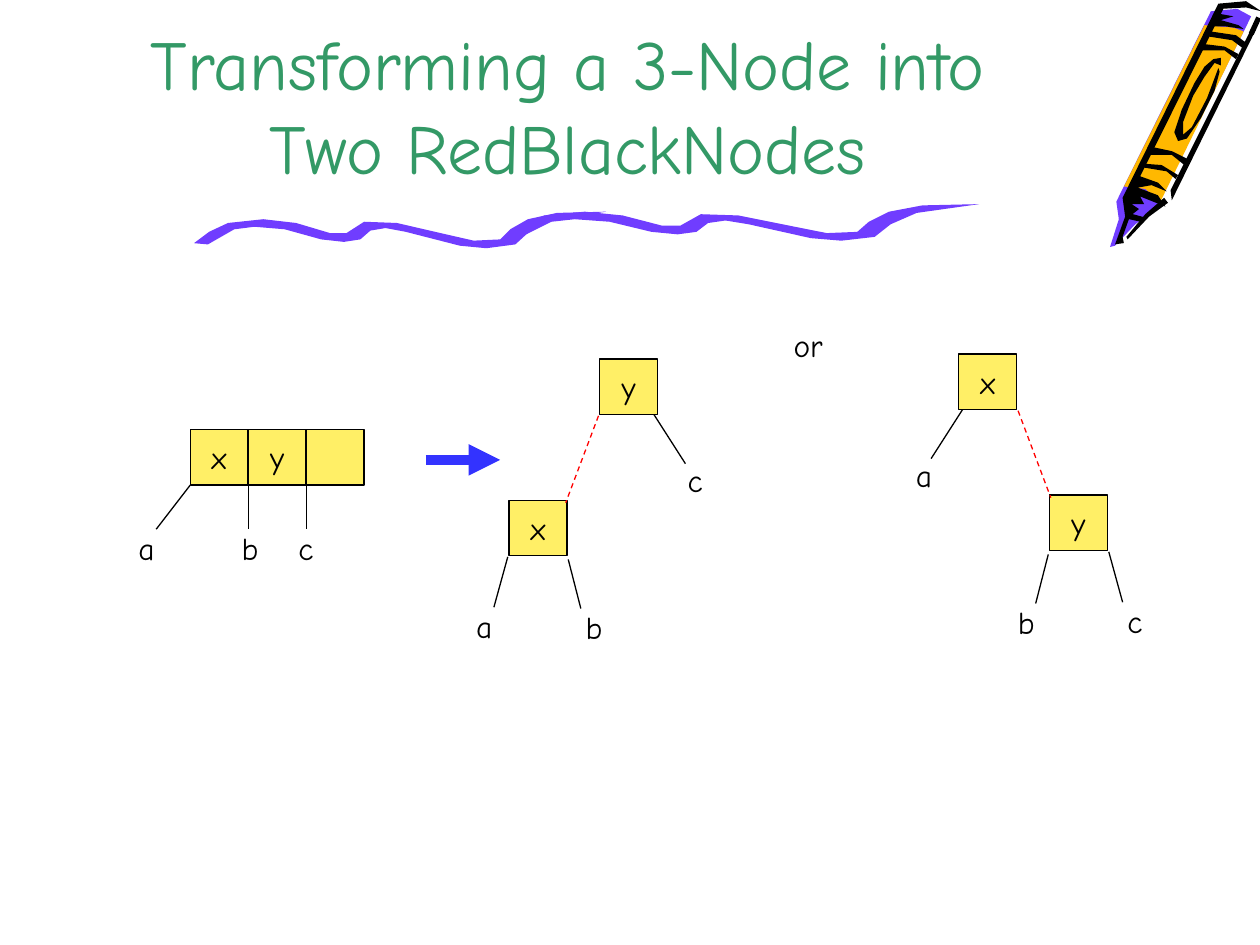
import dataclasses

import pptx
import pptx.dml.color
import pptx.enum.dml
import pptx.enum.shapes
import pptx.enum.text
import pptx.oxml.xmlchemy
import pptx.util
from pptx.util import Inches


@dataclasses.dataclass(frozen=True)
class Theme:
    """Colours, font and type sizes of the slide."""

    font: str = "Comic Neue"
    title_size: int = 40
    label_size: int = 18
    thin: float = 0.75
    title: str = "339966"
    ink: str = "000000"
    node: str = "FFEF66"
    red: str = "FF0000"
    arrow: str = "3333FF"
    purple: str = "703DFF"
    wax: str = "FFB800"


THEME = Theme()
NODE_WIDTH, NODE_HEIGHT = 0.46, 0.44
LABEL_WIDTH, LABEL_HEIGHT = 0.3, 0.4
HUNDREDTH = Inches(0.01)

CRAYON_PARTS = [
    (THEME.purple, [(113, 13), (37, 166), (21, 178), (5, 195), (1, 196), (8, 174), (6, 160),
                    (81, 9), (102, 7)]),
    (THEME.wax, [(41, 160), (29, 150), (12, 148), (76, 20), (99, 22), (107, 25)]),
    (THEME.ink, [(47, 161), (32, 172), (15, 190), (14, 188), (29, 170), (44, 157)]),
    (THEME.ink, [(107, 23), (93, 21), (81, 21), (88, 11), (99, 13), (89, 16), (103, 20)]),
    (THEME.ink, [(88, 57), (84, 72), (73, 94), (62, 110), (55, 112), (52, 105), (58, 87),
                 (68, 66), (76, 53), (83, 47), (89, 46), (89, 52), (84, 50), (76, 61),
                 (67, 76), (59, 97), (59, 107), (66, 101), (78, 78), (87, 54)]),
    (THEME.ink, [(117, 23), (50, 159), (49, 151), (113, 23)]),
    (THEME.ink, [(45, 164), (39, 155), (23, 149), (34, 147), (46, 152), (39, 145), (25, 140),
                 (91, 7), (109, 6), (121, 9), (109, 1), (87, 3), (11, 157), (13, 172), (5, 194),
                 (12, 193), (11, 188), (16, 174), (25, 176), (30, 173), (19, 170), (24, 166),
                 (18, 162), (28, 162), (25, 156)]),
    (THEME.ink, [(53, 142), (46, 136), (28, 133), (29, 130), (42, 131), (55, 139)]),
    (THEME.ink, [(60, 131), (50, 123), (33, 123), (36, 117), (50, 120), (62, 126)]),
    (THEME.ink, [(101, 47), (92, 40), (73, 40), (76, 35), (92, 37), (103, 43)]),
    (THEME.ink, [(106, 38), (98, 32), (79, 29), (81, 25), (101, 28), (109, 34)]),
]
WAVE = [(11, 26), (32, 14), (48, 12), (72, 14), (101, 22), (119, 24), (132, 22), (140, 15),
        (152, 13), (168, 16), (211, 27), (232, 29), (255, 26), (266, 16), (284, 7), (327, 0),
        (288, 1), (265, 6), (251, 14), (243, 22), (222, 23), (200, 18), (161, 9), (135, 8),
        (121, 17), (108, 17), (81, 9), (55, 6), (27, 9), (12, 16), (0, 25)]


def rgb(code):
    """Return the colour for a hex code."""
    return pptx.dml.color.RGBColor.from_string(code)


def write(paragraph, text, size=THEME.label_size, color=THEME.ink):
    """Add one styled run to a paragraph."""
    run = paragraph.add_run()
    run.text = text
    run.font.name = THEME.font
    run.font.size = pptx.util.Pt(size)
    run.font.color.rgb = rgb(color)


def add_outline(slide, left, top, points, color, stretch=1.0):
    """Draw a filled outline whose points are hundredths of an inch from its corner."""
    builder = slide.shapes.build_freeform(*points[0], scale=(HUNDREDTH * stretch, HUNDREDTH))
    builder.add_line_segments(points[1:], close=True)
    outline = builder.convert_to_shape(Inches(left), Inches(top))
    outline.shadow.inherit = False
    outline.fill.solid()
    outline.fill.fore_color.rgb = rgb(color)
    outline.line.fill.background()


def add_link(slide, start, end, color=THEME.ink, width=THEME.thin):
    """Draw a straight line between two points and return it."""
    link = slide.shapes.add_connector(
        pptx.enum.shapes.MSO_CONNECTOR.STRAIGHT, *map(Inches, (*start, *end)))
    link.line.color.rgb = rgb(color)
    link.line.width = pptx.util.Pt(width)
    link._element.spPr.append(pptx.oxml.xmlchemy.OxmlElement("a:effectLst"))
    return link


def add_node(slide, left, top, key):
    """Draw one yellow node cell with its key."""
    node = slide.shapes.add_shape(
        pptx.enum.shapes.MSO_SHAPE.RECTANGLE,
        *map(Inches, (left, top, NODE_WIDTH, NODE_HEIGHT)))
    node.shadow.inherit = False
    node.fill.solid()
    node.fill.fore_color.rgb = rgb(THEME.node)
    node.line.color.rgb = rgb(THEME.ink)
    node.line.width = pptx.util.Pt(THEME.thin)
    if key:
        frame = node.text_frame
        frame.word_wrap = False
        frame.vertical_anchor = pptx.enum.text.MSO_ANCHOR.MIDDLE
        frame.paragraphs[0].alignment = pptx.enum.text.PP_ALIGN.CENTER
        write(frame.paragraphs[0], key)


def add_label(slide, left, top, text, width=LABEL_WIDTH):
    """Place a short label."""
    label = slide.shapes.add_textbox(*map(Inches, (left, top, width, LABEL_HEIGHT)))
    label.text_frame.word_wrap = True
    label.text_frame.auto_size = pptx.enum.text.MSO_AUTO_SIZE.SHAPE_TO_FIT_TEXT
    write(label.text_frame.paragraphs[0], text)


def add_title(slide, left, top, width, height):
    """Move and fill the title placeholder."""
    title = slide.shapes.title
    title.left, title.top, title.width, title.height = map(Inches, (left, top, width, height))
    frame = title.text_frame
    frame.word_wrap = True
    frame.auto_size = pptx.enum.text.MSO_AUTO_SIZE.NONE
    frame.vertical_anchor = pptx.enum.text.MSO_ANCHOR.BOTTOM
    frame.paragraphs[0].alignment = pptx.enum.text.PP_ALIGN.CENTER
    write(frame.paragraphs[0], "Transforming a 3-Node into Two RedBlackNodes",
          THEME.title_size, THEME.title)


def add_crayon(slide, left, top):
    """Draw the crayon in the corner."""
    for color, points in CRAYON_PARTS:
        add_outline(slide, left, top, points, color)
    add_link(slide, (left + 1.19, top + 0.14), (left + 1.13, top + 0.27), width=3)


def add_underline(slide, left, top):
    """Draw the wavy rule as two waves, the second longer and higher."""
    add_outline(slide, left, top + 0.06, WAVE, THEME.purple)
    add_outline(slide, left + 2.47, top, WAVE, THEME.purple, stretch=1.15)


def add_three_node(slide, left, top):
    """Draw the 3-node with its three subtrees."""
    bottom = top + NODE_HEIGHT
    for column, key in enumerate(("x", "y", "")):
        add_node(slide, left + column * NODE_WIDTH, top, key)
    children = [("a", -0.27, -0.51), ("b", 0, 0.31), ("c", 0, 0.76)]
    for column, (child, slant, label_left) in enumerate(children):
        corner = left + column * NODE_WIDTH
        add_link(slide, (corner, bottom), (corner + slant, bottom + 0.35))
        add_label(slide, left + label_left, top + 0.74, child)


def add_arrow(slide, left, top, length):
    """Draw the arrow from the 3-node to its transformations."""
    arrow = add_link(slide, (left, top), (left + length, top), THEME.arrow, 6)
    head = pptx.oxml.xmlchemy.OxmlElement("a:tailEnd")
    head.set("type", "triangle")
    arrow._element.spPr.get_or_add_ln().append(head)


def add_tree(slide, left, top, width, keys, subtrees, mirrored=False):
    """Draw a root with one red child, leaning left unless mirrored."""
    def place(x, y, part_width=0):
        """Return the slide position of a part of the tree."""
        return (left + (width - x - part_width if mirrored else x), top + y)

    for key, x, y in zip(keys, (1.08, 0.36), (0, 1.12)):
        add_node(slide, *place(x, y, NODE_WIDTH), key)
    red_link = add_link(slide, place(1.07, 0.45), place(0.81, 1.14), THEME.red)
    red_link.line.dash_style = pptx.enum.dml.MSO_LINE.DASH
    branches = [((0.35, 1.57), (0.24, 1.97), (0, 1.92)),
                ((0.83, 1.59), (0.93, 1.98), (0.87, 1.93)),
                ((1.51, 0.44), (1.76, 0.83), (1.68, 0.76))]
    for subtree, (start, end, label) in zip(subtrees, branches):
        add_link(slide, place(*start), place(*end))
        add_label(slide, *place(*label, LABEL_WIDTH), subtree)


def main():
    """Build and save the slide."""
    deck = pptx.Presentation()
    deck.slide_width, deck.slide_height = Inches(10), Inches(7.5)
    slide = deck.slides.add_slide(deck.slide_layouts[5])
    add_crayon(slide, 8.8, 0)
    add_underline(slide, 1.54, 1.62)
    add_title(slide, 0.75, 0, 7.51, 1.55)
    add_three_node(slide, 1.51, 3.41)
    add_arrow(slide, 3.38, 3.65, 0.59)
    add_tree(slide, 3.68, 2.85, 1.98, "yx", "abc")
    add_label(slide, 6.2, 2.54, "or", width=0.46)
    add_tree(slide, 7.17, 2.81, 1.98, "xy", "cba", mirrored=True)
    deck.save("out.pptx")


if __name__ == "__main__":
    main()
